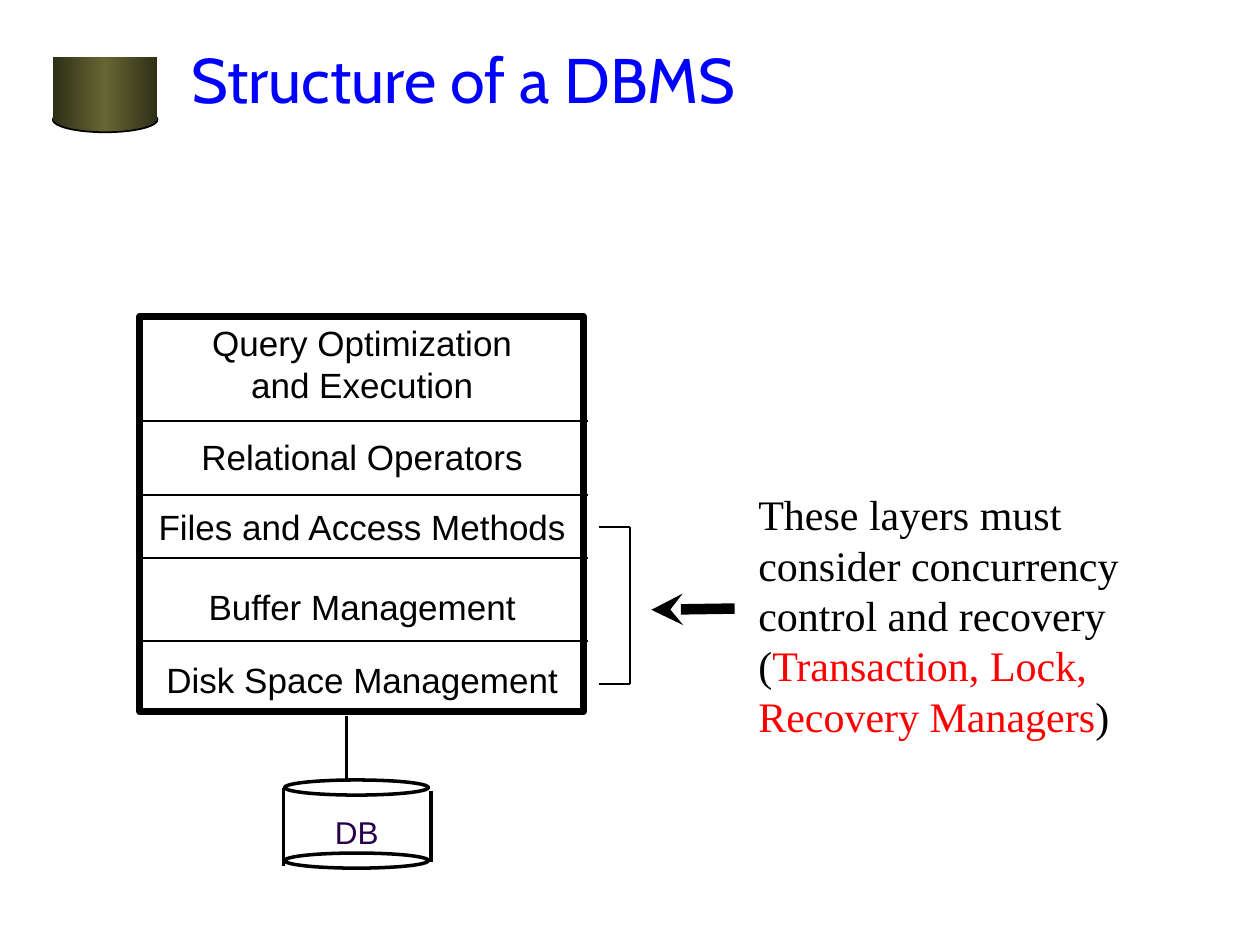
from copy import deepcopy

from lxml.etree import SubElement
from pptx import Presentation
from pptx.dml.color import RGBColor
from pptx.enum.shapes import MSO_CONNECTOR as CONNECTOR, MSO_SHAPE as SHAPE
from pptx.enum.text import MSO_ANCHOR as ANCHOR, PP_ALIGN as ALIGN
from pptx.oxml.ns import qn
from pptx.util import Inches, Pt

BLACK = RGBColor(0x00, 0x00, 0x00)
BLUE = RGBColor(0x00, 0x00, 0xFF)
RED = RGBColor(0xFF, 0x00, 0x00)
PURPLE = RGBColor(0x28, 0x00, 0x49)
OLIVE = RGBColor(0x66, 0x66, 0x33)
DARK_OLIVE = RGBColor(0x2F, 0x2F, 0x18)

prs = Presentation()
prs.slide_width, prs.slide_height = Inches(10), Inches(7.5)
slide = prs.slides.add_slide(prs.slide_layouts[5])
shapes = slide.shapes


def add_line(x1, y1, x2, y2, width):
    line = shapes.add_connector(
        CONNECTOR.STRAIGHT, Inches(x1), Inches(y1), Inches(x2), Inches(y2))
    line.line.color.rgb = BLACK
    line.line.width = Pt(width)
    SubElement(line._element.spPr, qn("a:effectLst"))
    return line


def add_text(box, paragraphs, font, size, align=ALIGN.LEFT, wrap=False):
    """Fill a box with paragraphs, each a list of (text, colour) runs."""
    frame = shapes.add_textbox(*map(Inches, box)).text_frame
    frame.word_wrap = wrap
    for i, runs in enumerate(paragraphs):
        paragraph = frame.add_paragraph() if i else frame.paragraphs[0]
        paragraph.alignment = align
        for text, color in runs:
            run = paragraph.add_run()
            run.text = text
            run.font.name, run.font.size = font, Pt(size)
            run.font.color.rgb = color


# Title
title = shapes.title
title.left, title.top = Inches(1.42), Inches(0)
title.width, title.height = Inches(7.83), Inches(1.25)
title.text_frame.vertical_anchor = ANCHOR.MIDDLE
heading = title.text_frame.paragraphs[0]
heading.alignment = ALIGN.LEFT
heading_run = heading.add_run()
heading_run.text = "Structure of a DBMS"
heading_run.font.name, heading_run.font.size = "Cabin", Pt(36)
heading_run.font.color.rgb = BLUE

# Olive cylinder: a curved base behind a straight body
for kind, top, height in [(SHAPE.OVAL, 0.85, 0.2), (SHAPE.RECTANGLE, 0.45, 0.51)]:
    part = shapes.add_shape(
        kind, Inches(0.42), Inches(top), Inches(0.83), Inches(height))
    part.shadow.inherit = False
    part.fill.gradient()
    part.fill.gradient_angle = 0
    stop_list = part._element.spPr.find(qn("a:gradFill")).find(qn("a:gsLst"))
    stop_list.insert(1, deepcopy(stop_list[0]))
    for stop, position, color in zip(
            part.fill.gradient_stops, (0, 0.5, 1), (DARK_OLIVE, OLIVE, DARK_OLIVE)):
        stop.position = position
        stop.color.rgb = color
    if kind == SHAPE.OVAL:
        part.line.color.rgb = BLACK
        part.line.width = Pt(1)
    else:
        part.line.fill.background()

# Layer names, centred on the stack
for top, height, names in [
    (2.5, 0.77, ["Query Optimization", "and Execution"]),
    (3.41, 0.43, ["Relational Operators"]),
    (3.96, 0.43, ["Files and Access Methods"]),
    (4.6, 0.43, ["Buffer Management"]),
    (5.18, 0.43, ["Disk Space Management"]),
]:
    add_text((1.15, top, 3.45, height), [[(name, BLACK)] for name in names],
             "Arial", 20, ALIGN.CENTER)

# Stack frame and the two ends of the disk
for kind, left, top, width, height, weight in [
    (SHAPE.RECTANGLE, 1.11, 2.51, 3.52, 3.14, 4),
    (SHAPE.OVAL, 2.26, 6.19, 1.14, 0.12, 2),
    (SHAPE.OVAL, 2.26, 6.77, 1.14, 0.12, 2),
]:
    outline = shapes.add_shape(
        kind, Inches(left), Inches(top), Inches(width), Inches(height))
    outline.shadow.inherit = False
    outline.fill.background()
    outline.line.color.rgb = BLACK
    outline.line.width = Pt(weight)

# Layer dividers
for y in (3.34, 3.93, 4.43, 5.09):
    add_line(1.08, y, 4.67, y, 1)

# Disk sides, label and link to the stack
add_line(2.25, 6.25, 2.25, 6.87, 2)
add_line(3.42, 6.28, 3.42, 6.84, 2)
add_text((2.56, 6.4, 0.55, 0.4), [[("DB", PURPLE)]], "Arial", 18)
add_line(2.75, 5.68, 2.75, 6.18, 2)

# Bracket around the lower three layers
add_line(4.75, 4.18, 5, 4.18, 1)
add_line(5, 4.18, 5, 5.43, 1)
add_line(4.75, 5.43, 5, 5.43, 1)

# Note and its arrow
add_text((5.92, 3.83, 3.75, 2.1), [
    [("These layers must consider concurrency", BLACK)],
    [("control and recovery", BLACK)],
    [("(", BLACK), ("Transaction, Lock, Recovery Managers", RED), (")", BLACK)],
], "Times New Roman", 24, wrap=True)
arrow = add_line(5.83, 4.83, 5.17, 4.84, 6)
SubElement(arrow.line._get_or_add_ln(), qn("a:tailEnd"), type="stealth")

prs.save("out.pptx")
